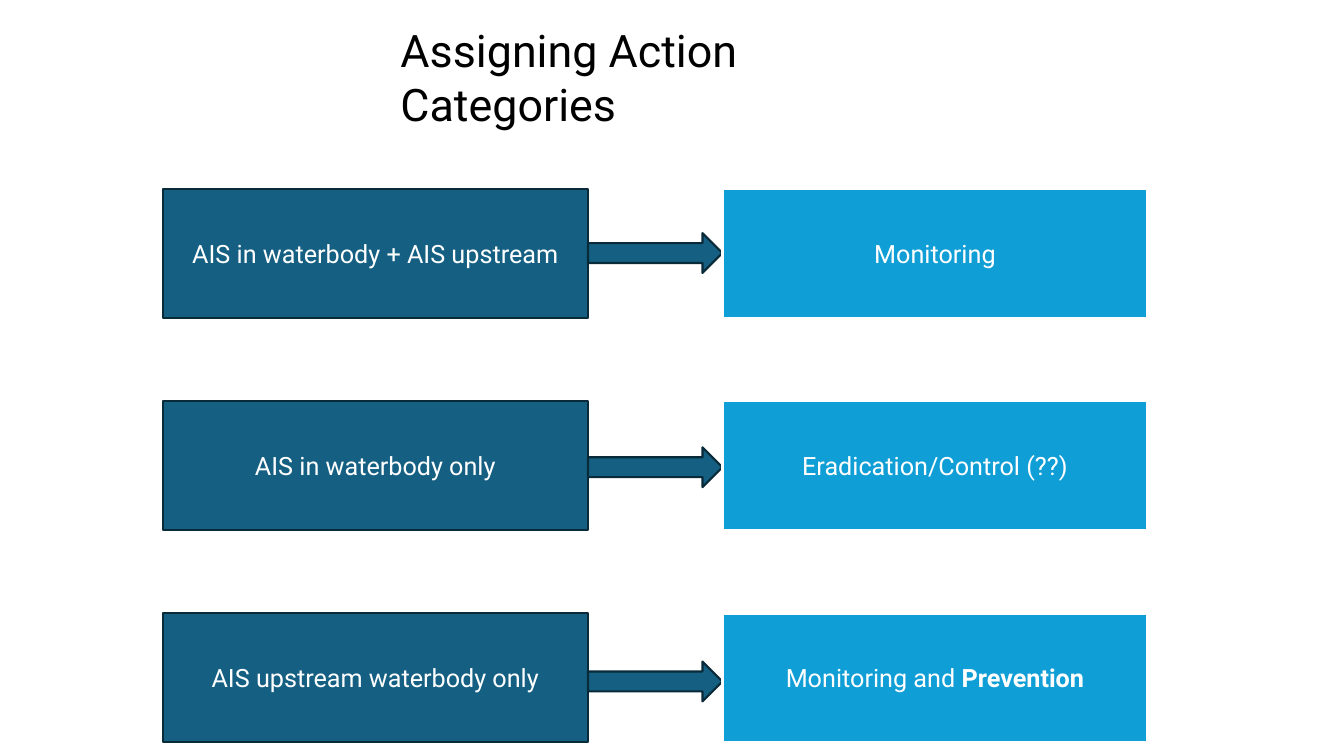
from dataclasses import dataclass

import pptx
import pptx.dml.color
import pptx.enum.shapes
import pptx.enum.text
import pptx.util

EMU_PER_PX = 9525
FONT = "Roboto"
WHITE, BLACK = "FFFFFF", "000000"
SHAPE = pptx.enum.shapes.MSO_SHAPE


@dataclass(frozen=True)
class Run:
    text: str
    bold: bool = False


@dataclass(frozen=True)
class Column:
    """A vertical series of equal shapes, one per row."""
    kind: int
    left: int
    top: int
    width: int
    height: int
    pitch: int
    fill: str
    line: str
    line_points: float
    labels: tuple[tuple[Run, ...], ...]


COLUMNS = (
    # Situations
    Column(SHAPE.RECTANGLE, 155, 180, 405, 123, 202, "156082", "092A39", 1.5, (
        (Run("AIS in waterbody + AIS upstream"),),
        (Run("AIS in waterbody only"),),
        (Run("AIS upstream waterbody only"),),
    )),
    # Arrows
    Column(SHAPE.RIGHT_ARROW, 560, 222, 128, 38, 204, "156082", "092A39", 1.5,
           ((), (), ())),
    # Actions
    Column(SHAPE.RECTANGLE, 688, 180, 405, 123, 202, "0F9ED5", WHITE, 2, (
        (Run("Monitoring"),),
        (Run("Eradication/Control (??)"),),
        (Run("Monitoring and "), Run("Prevention", bold=True)),
    )),
)


def px(length: int) -> pptx.util.Emu:
    return pptx.util.Emu(length * EMU_PER_PX)


def rgb(value: str) -> pptx.dml.color.RGBColor:
    return pptx.dml.color.RGBColor.from_string(value)


def add_runs(paragraph, runs: tuple[Run, ...], points: int, color: str) -> None:
    for item in runs:
        run = paragraph.add_run()
        run.text = item.text
        run.font.name = FONT
        run.font.size = pptx.util.Pt(points)
        run.font.bold = item.bold
        run.font.color.rgb = rgb(color)


def add_column(slide, column: Column) -> None:
    for row, label in enumerate(column.labels):
        shape = slide.shapes.add_shape(
            column.kind, px(column.left), px(column.top + row * column.pitch),
            px(column.width), px(column.height))
        shape.shadow.inherit = False
        shape.fill.solid()
        shape.fill.fore_color.rgb = rgb(column.fill)
        shape.line.color.rgb = rgb(column.line)
        shape.line.width = pptx.util.Pt(column.line_points)
        if label:
            frame = shape.text_frame
            frame.word_wrap = True
            frame.vertical_anchor = pptx.enum.text.MSO_ANCHOR.MIDDLE
            paragraph = frame.paragraphs[0]
            paragraph.alignment = pptx.enum.text.PP_ALIGN.CENTER
            add_runs(paragraph, label, 18, WHITE)


def add_title(slide) -> None:
    box = slide.shapes.add_textbox(px(372), px(17), px(536), px(61))
    box.text_frame.word_wrap = True
    add_runs(box.text_frame.paragraphs[0],
             (Run("Assigning Action Categories"),), 32, BLACK)


def main() -> None:
    presentation = pptx.Presentation()
    presentation.slide_width = px(1280)
    presentation.slide_height = px(720)
    slide = presentation.slides.add_slide(presentation.slide_layouts[6])
    for column in COLUMNS:
        add_column(slide, column)
    add_title(slide)
    presentation.save("out.pptx")


if __name__ == "__main__":
    main()
